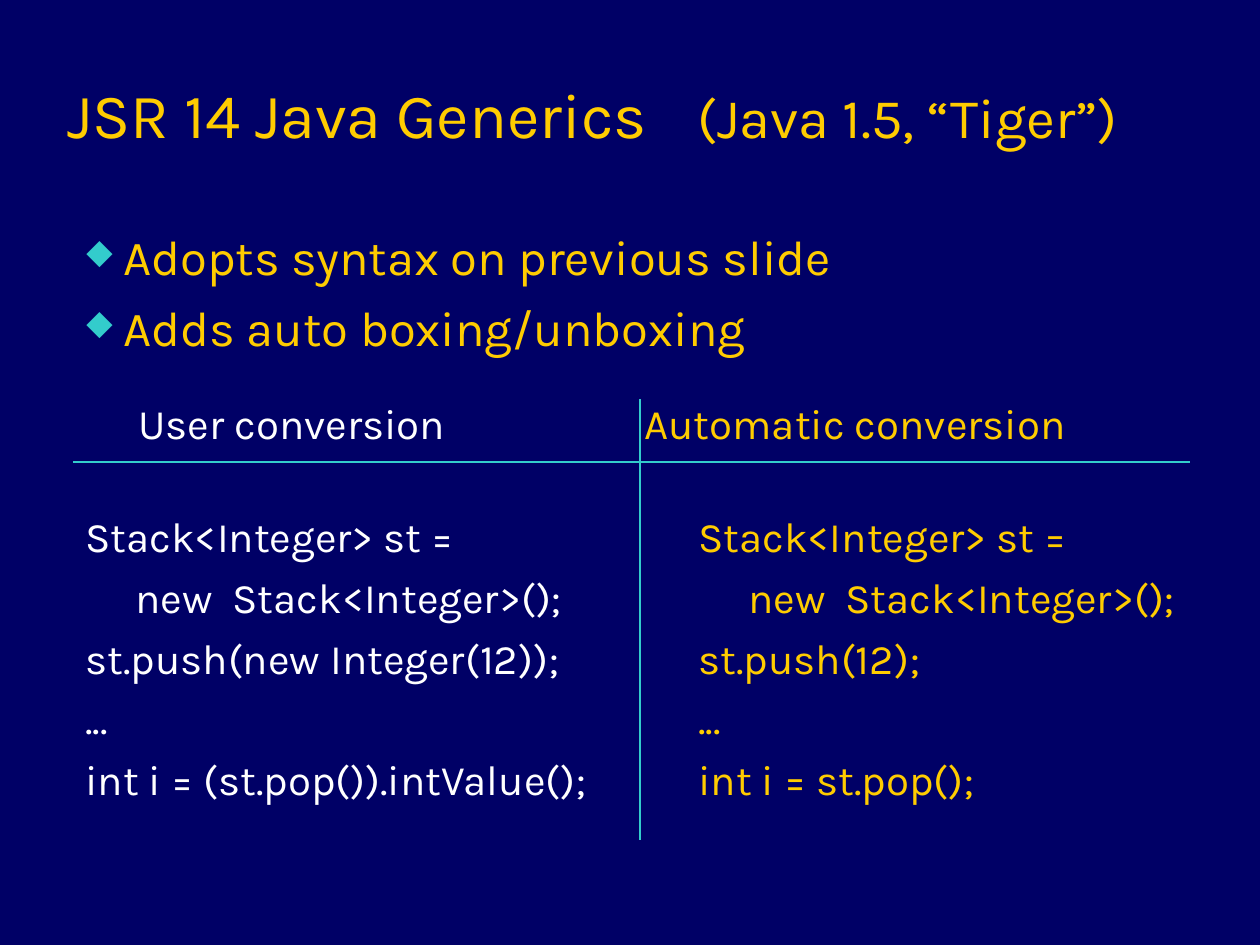
from lxml import etree
from pptx import Presentation
from pptx import util as u
from pptx.dml.color import RGBColor
from pptx.enum import shapes, text
from pptx.oxml import ns

PX = u.Inches(1) / 126
FONT = "Karla"
COLORS = {"navy": "000066", "gold": "FFCC00", "white": "FFFFFF", "teal": "33CCCC"}
HEADING_TOP, HEADING_HEIGHT = 391, 70
CODE_TOP, CODE_HEIGHT = 504, 436
USER_CODE = ["Stack<Integer> st =", "new  Stack<Integer>();",
             "st.push(new Integer(12));", "...", "int i = (st.pop()).intValue();"]
AUTO_CODE = ["Stack<Integer> st =", "new  Stack<Integer>();",
             "st.push(12);", "...", "int i = st.pop();"]


def px(length):
    return u.Emu(round(length * PX))


def color(name):
    return RGBColor.from_string(COLORS[name])


def set_all(target, values):
    for name, value in values.items():
        setattr(target, name, value)


def add_child(parent, tag, **attributes):
    child = etree.SubElement(parent, ns.qn(tag))
    for name, value in attributes.items():
        child.set(name, str(value))
    return child


def add_box(page, left, top, width, height, anchor=text.MSO_ANCHOR.TOP):
    box = page.shapes.add_textbox(px(left), px(top), px(width), px(height))
    set_all(box.text_frame, {"word_wrap": True, "vertical_anchor": anchor})
    return box.text_frame


def add_para(frame, spans, first=False, margin=0, indent=0, bullet=None, before=0):
    para = frame.paragraphs[0] if first else frame.add_paragraph()
    para.space_before = u.Pt(before)
    props = para._p.get_or_add_pPr()
    props.set("marL", str(px(margin)))
    props.set("indent", str(px(indent)))
    if bullet:
        add_child(add_child(props, "a:buClr"), "a:srgbClr", val=COLORS["teal"])
        add_child(props, "a:buSzPct", val=70000)
        add_child(props, "a:buChar", char=bullet)
    else:
        add_child(props, "a:buNone")
    for words, size, name in spans:
        span = para.add_run()
        span.text = words
        set_all(span.font, {"name": FONT, "size": u.Pt(size)})
        span.font.color.rgb = color(name)


def add_title(page):
    frame = add_box(page, 55, 31, 1162, 126, text.MSO_ANCHOR.BOTTOM)
    spans = [("JSR 14 Java Generics\t", 36, "gold"), ("(Java 1.5, “Tiger”)", 32, "gold")]
    add_para(frame, spans, first=True)


def add_bullets(page):
    frame = add_box(page, 63, 220, 1126, 160)
    for index, words in enumerate(["Adopts syntax on previous slide", "Adds auto boxing/unboxing"]):
        add_para(frame, [(words, 28, "gold")], first=index == 0, margin=48, indent=-37,
                 bullet="◆", before=7)


def add_lines(page, left, top, width, height, lines, name):
    frame = add_box(page, left, top, width, height)
    for index, line in enumerate(lines):
        margin = 50 if line.startswith("new") else 0
        add_para(frame, [(line, 24, name)], first=index == 0, margin=margin, before=6)


def add_rule(page, *ends):
    rule = page.shapes.add_connector(shapes.MSO_CONNECTOR.STRAIGHT, *map(px, ends))
    rule.line.color.rgb = color("teal")
    rule.line.width = u.Pt(0.75)
    add_child(rule._element.spPr, "a:effectLst")


def main():
    deck = Presentation()
    set_all(deck, {"slide_width": px(1260), "slide_height": px(945)})
    page = deck.slides.add_slide(deck.slide_layouts[6])
    page.background.fill.solid()
    page.background.fill.fore_color.rgb = color("navy")
    add_title(page)
    add_bullets(page)
    add_lines(page, 126, HEADING_TOP, 500, HEADING_HEIGHT, ["User conversion"], "white")
    add_lines(page, 632, HEADING_TOP, 557, HEADING_HEIGHT, ["Automatic conversion"], "gold")
    add_lines(page, 73, CODE_TOP, 595, CODE_HEIGHT, USER_CODE, "white")
    add_lines(page, 686, CODE_TOP, 553, CODE_HEIGHT, AUTO_CODE, "gold")
    add_rule(page, 73, 462, 1190, 462)
    add_rule(page, 640, 840, 640, 399)
    deck.save("out.pptx")


if __name__ == "__main__":
    main()
